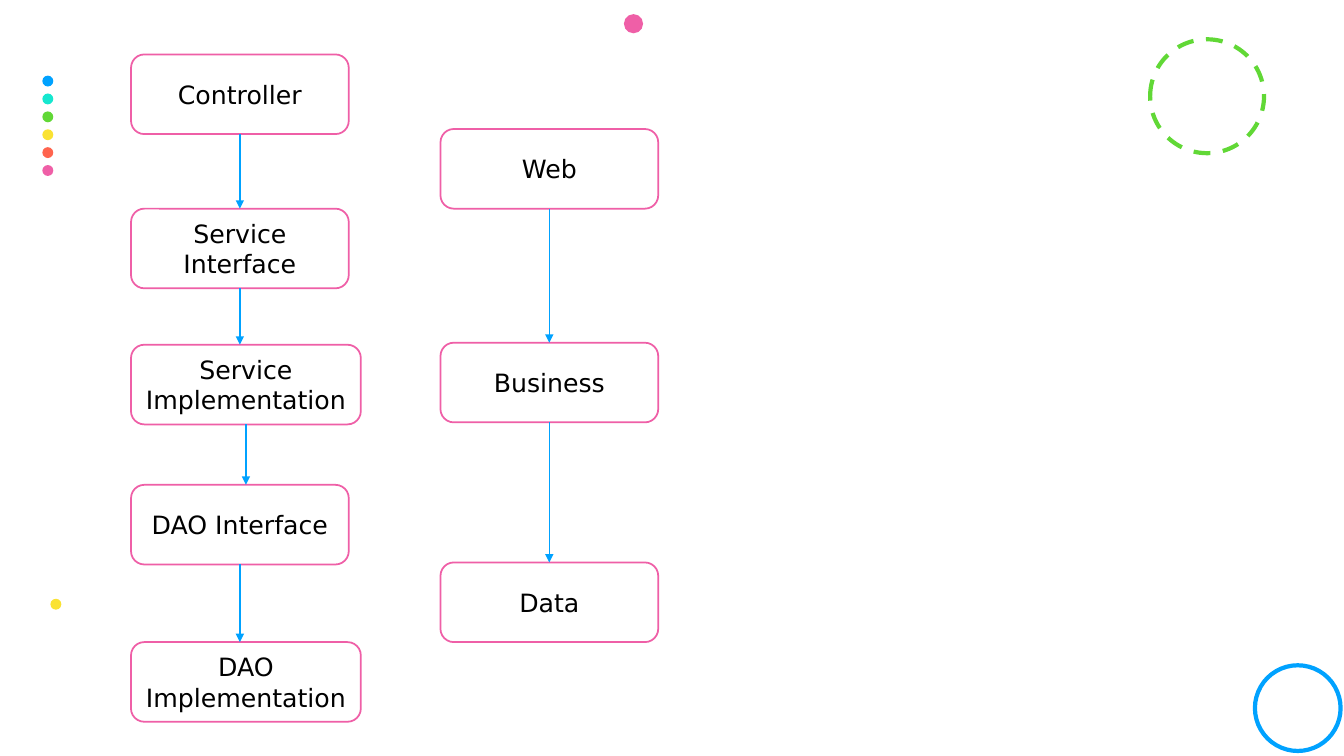
from itertools import pairwise

from lxml import etree
from pptx import Presentation
from pptx import util as u
from pptx.dml.color import RGBColor
from pptx.enum import dml, shapes, text
from pptx.oxml.ns import qn

COLORS = {
    "blue": "00A2FF", "teal": "16E7CF", "green": "61D836", "yellow": "FAE232",
    "coral": "FF644E", "pink": "EF5FA7", "white": "FFFFFF", "black": "000000",
}
COLUMNS, ROWS = 160, 90
BOX_HEIGHT = 9.48
NARROW, WIDE = 25.92, 27.36


class Board:
    """Draws styled elements on one slide, placed by grid columns and rows."""

    font = "DejaVu Sans"
    font_size = u.Pt(18)

    def __init__(self, deck):
        self.slide = deck.slides.add_slide(deck.slide_layouts[6])
        self.column = deck.slide_width / COLUMNS
        self.row = deck.slide_height / ROWS

    def place(self, x, y):
        return round(x * self.column), round(y * self.row)

    def color(self, name):
        return RGBColor.from_string(COLORS[name])

    def outline(self, line, name, points):
        line.color.rgb = self.color(name)
        line.width = u.Pt(points)

    def shape(self, kind, x, y, width, height, fill=None, line=None, points=1):
        item = self.slide.shapes.add_shape(kind, *self.place(x, y), *self.place(width, height))
        item.shadow.inherit = False
        if fill:
            item.fill.solid()
            item.fill.fore_color.rgb = self.color(fill)
        else:
            item.fill.background()
        if line:
            self.outline(item.line, line, points)
        else:
            item.line.fill.background()
        return item

    def circle(self, x, y, size, **style):
        return self.shape(shapes.MSO_SHAPE.OVAL, x, y, size, size, **style)

    def box(self, label, x, y, width):
        item = self.shape(shapes.MSO_SHAPE.ROUNDED_RECTANGLE, x, y, width, BOX_HEIGHT,
                          fill="white", line="pink", points=1.25)
        frame = item.text_frame
        frame.word_wrap = True
        frame.vertical_anchor = text.MSO_ANCHOR.MIDDLE
        frame.margin_left = frame.margin_right = u.Inches(0.09)
        frame.text = label
        paragraph = frame.paragraphs[0]
        paragraph.alignment = text.PP_ALIGN.CENTER
        paragraph.font.name = self.font
        paragraph.font.size = self.font_size
        paragraph.font.color.rgb = self.color("black")

    def arrow(self, x, top, bottom):
        link = self.slide.shapes.add_connector(
            shapes.MSO_CONNECTOR.STRAIGHT, *self.place(x, top), *self.place(x, bottom))
        self.outline(link.line, "blue", 1)
        etree.SubElement(link.line._get_or_add_ln(), qn("a:tailEnd"), type="triangle")
        etree.SubElement(link._element.spPr, qn("a:effectLst"))

    def chain(self, x, steps):
        for label, y, width in steps:
            self.box(label, x, y, width)
        for (_, y, width), (_, next_y, _) in pairwise(steps):
            self.arrow(x + width / 2, y + BOX_HEIGHT, next_y)


deck = Presentation()
deck.slide_width, deck.slide_height = u.Inches(13.33), u.Inches(7.5)
board = Board(deck)

for index, hue in enumerate(("blue", "teal", "green", "yellow", "coral", "pink")):
    board.circle(5.04, 9 + 2.13 * index, 1.3, fill=hue)
dashed_ring = board.circle(136.92, 4.68, 13.56, line="green", points=3)
dashed_ring.line.dash_style = dml.MSO_LINE.DASH
board.circle(74.28, 1.68, 2.28, fill="pink")
board.circle(6, 71.28, 1.3, fill="yellow")
board.circle(149.4, 79.2, 10.2, line="blue", points=3)

board.chain(15.6, [
    ("Controller", 6.48, NARROW),
    ("Service Interface", 24.84, NARROW),
    ("Service Implementation", 41.04, WIDE),
    ("DAO Interface", 57.72, NARROW),
    ("DAO Implementation", 76.44, WIDE),
])
board.chain(52.44, [
    ("Web", 15.36, NARROW),
    ("Business", 40.8, NARROW),
    ("Data", 66.96, NARROW),
])

deck.save("out.pptx")
